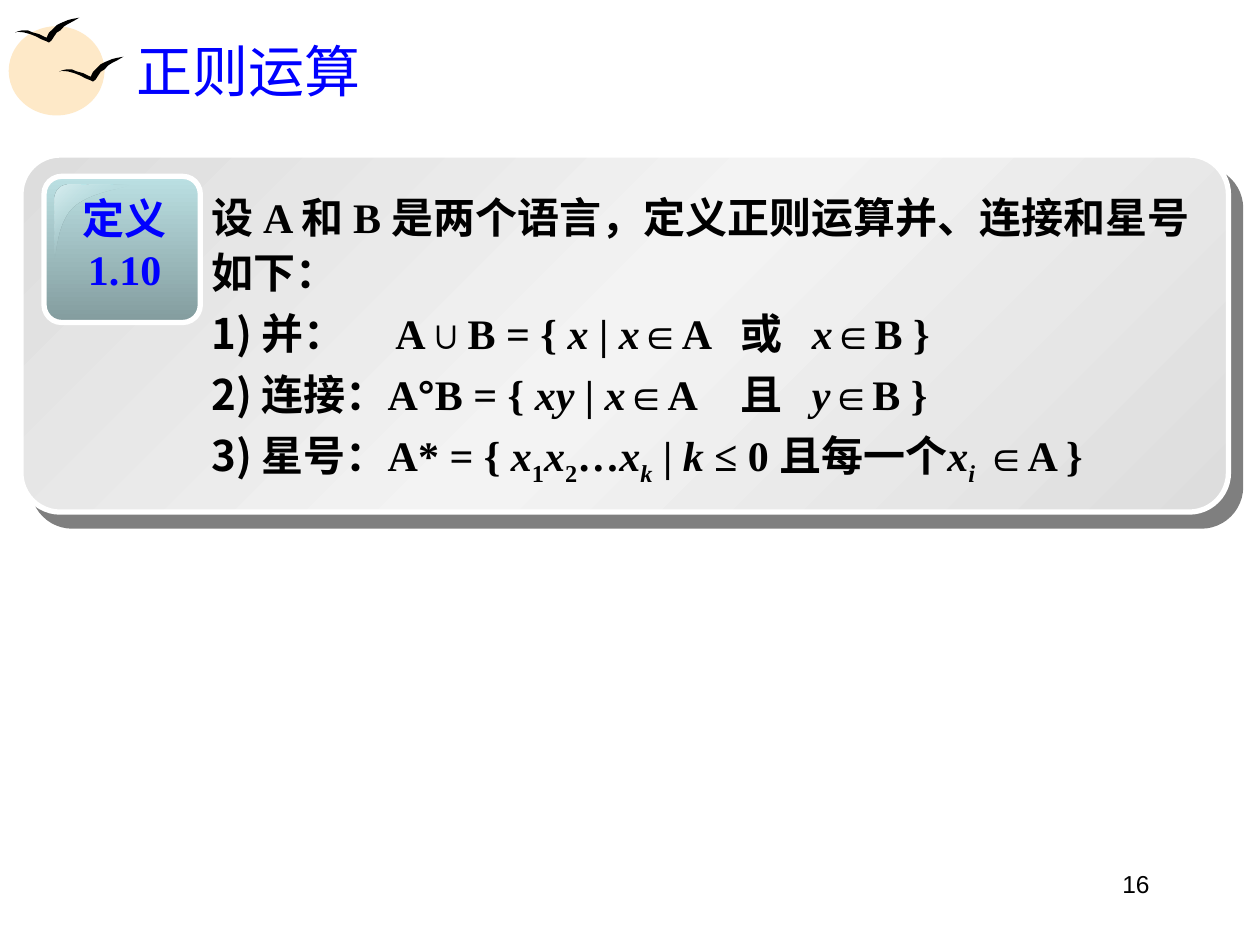
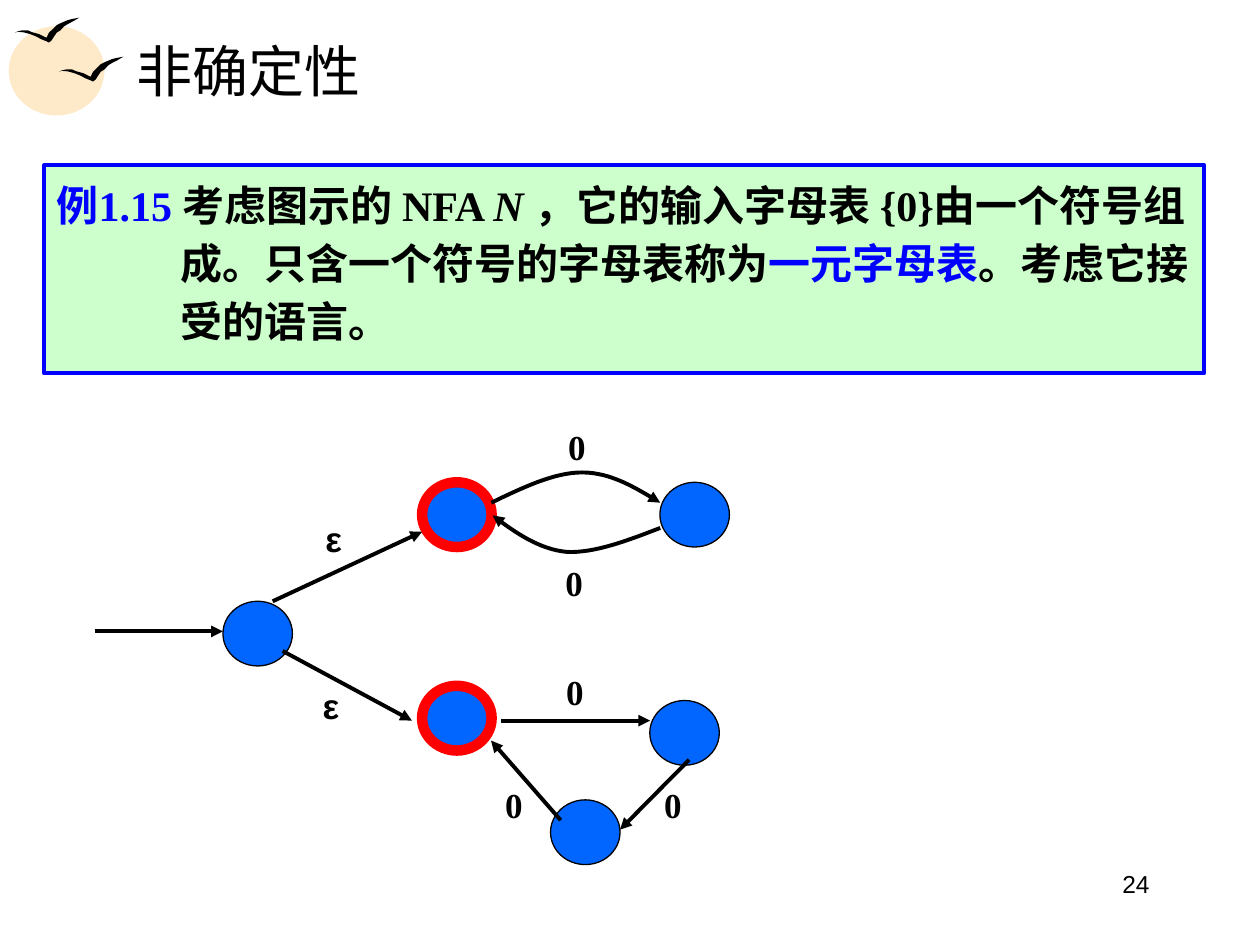
"""Build two lecture slides on regular operations and nondeterministic automata."""
from lxml import etree
from pptx import Presentation
from pptx import util as u
from pptx.dml.color import RGBColor
from pptx.enum import shapes, text
from pptx.oxml import ns

Pt = u.Pt
BLUE = RGBColor(0x00, 0x00, 0xFF)
BLACK = RGBColor(0x00, 0x00, 0x00)
WHITE = RGBColor(0xFF, 0xFF, 0xFF)
RED = RGBColor(0xFF, 0x00, 0x00)
SUN = RGBColor(0xFE, 0xE9, 0xC8)
MINT = RGBColor(0xCC, 0xFF, 0xCC)
STATE_BLUE = RGBColor(0x00, 0x66, 0xFF)
GREY = RGBColor(0xDD, 0xDD, 0xDD)
LIGHT_GREY = RGBColor(0xF3, 0xF3, 0xF3)
TEAL = RGBColor(0xBB, 0xE0, 0xE3)
DARK_TEAL = RGBColor(0x83, 0x9C, 0x9E)
PALE_TEAL = RGBColor(0xDA, 0xEE, 0xF0)
SERIF, SANS = "Times New Roman", "Arial"

ITALIC = {"italic": True}
SUBSCRIPT = {"baseline": -25000}
ITALIC_SUBSCRIPT = {**ITALIC, **SUBSCRIPT}

BIRD = [
    (0, 8.6), (1.4, 7.9), (4.3, 7.2), (7.2, 7.2), (10, 8.4), (13.7, 9.4), (18, 11.5),
    (19.4, 8.6), (21.6, 6.5), (23.8, 4.3), (26.6, 2.9), (30.2, 1.4), (33, 0.7), (36.7, 0),
    (33, 2.2), (30.2, 3.6), (28, 5), (26, 7.2), (23.8, 8.6), (22.3, 10.8), (20.9, 13),
    (19.4, 14.2), (18, 13.5), (15.1, 12.4), (12.2, 10.8), (8.6, 9.4), (5, 8.4), (1.4, 8.1),
]


def write(paragraph, runs, size=24, color=BLACK, font=SERIF, bold=True):
    """Add (text, options) runs to a paragraph."""
    for words, options in runs:
        run = paragraph.add_run()
        run.text = words
        run.font.size = Pt(size)
        run.font.bold = bold
        run.font.italic = options.get("italic", False)
        run.font.name = options.get("font", font)
        run.font.color.rgb = options.get("color", color)
        if "baseline" in options:
            run._r.get_or_add_rPr().set("baseline", str(options["baseline"]))


def draw_curve(slide, points, closed):
    """Draw a chain of cubic curves through every third point."""
    builder = slide.shapes.build_freeform(Pt(points[0][0]), Pt(points[0][1]))
    for first in range(0, len(points) - 1, 3):
        segment = points[first:first + 4]
        samples = []
        for step in range(1, 17):
            t = step / 16
            weights = ((1 - t) ** 3, 3 * t * (1 - t) ** 2, 3 * t * t * (1 - t), t ** 3)
            samples.append([Pt(sum(w * point[axis] for w, point in zip(weights, segment)))
                            for axis in (0, 1)])
        builder.add_line_segments(samples, close=closed and first + 4 == len(points))
    return builder.convert_to_shape()


presentation = Presentation()
presentation.slide_width, presentation.slide_height = Pt(720), Pt(540)

for title, title_color, number in (("正则运算", BLUE, "16"), ("非确定性", BLACK, "24")):
    slide = presentation.slides.add_slide(presentation.slide_layouts[6])
    for box in ((5, 15, 54.7, 51), (14.4, 20.2, 45.3, 39.6)):
        sun = slide.shapes.add_shape(shapes.MSO_SHAPE.OVAL, *map(Pt, box))
        sun.fill.solid()
        sun.fill.fore_color.rgb = SUN
        sun.line.fill.background()
    for left, top in ((33.8, 32.4), (8.6, 10.1)):
        outline = [(Pt(left + x), Pt(top + y)) for x, y in BIRD]
        builder = slide.shapes.build_freeform(*outline[0])
        builder.add_line_segments(outline[1:])
        bird = builder.convert_to_shape()
        bird.fill.solid()
        bird.fill.fore_color.rgb = BLACK
        bird.line.fill.background()
    number_box = slide.shapes.add_textbox(Pt(496), Pt(493.2), Pt(168), Pt(37.4))
    number_box.text_frame.word_wrap = True
    number_box.text_frame.paragraphs[0].alignment = text.PP_ALIGN.RIGHT
    write(number_box.text_frame.paragraphs[0], [(number, {})], 14, font=SANS, bold=False)
    title_box = slide.shapes.add_textbox(Pt(70.9), Pt(15.1), Pt(614), Pt(49.7))
    title_box.text_frame.word_wrap = True
    title_box.text_frame.vertical_anchor = text.MSO_ANCHOR.MIDDLE
    write(title_box.text_frame.paragraphs[0], [(title, {})], 32, title_color, bold=False)

operations, nondeterminism = presentation.slides

card = operations.shapes.add_shape(
    shapes.MSO_SHAPE.ROUNDED_RECTANGLE, Pt(12), Pt(88.6), Pt(690), Pt(204))
card.adjustments[0] = 0.11
badge = operations.shapes.add_shape(
    shapes.MSO_SHAPE.ROUNDED_RECTANGLE, Pt(25.2), Pt(100.8), Pt(89.3), Pt(83.5))
badge.adjustments[0] = 0.12
for panel in (card, badge):
    panel.line.color.rgb = WHITE
    panel.line.width = Pt(3)
gloss = draw_curve(operations, [
    (39.6, 105.8), (34.6, 105.8), (31, 109.4), (31, 114.5),
    (31, 125), (31, 137), (31, 147.6),
    (32.4, 147.6), (31.7, 127.4), (42.5, 118.1),
    (54, 108.7), (74.9, 108), (74.2, 105.8)], closed=True)
gloss.line.fill.background()

for shape, angle, stops in (
        (card, 45, ((0, GREY, 100), (50, LIGHT_GREY, 100), (100, GREY, 100))),
        (badge, 90, ((0, TEAL, 100), (100, DARK_TEAL, 100))),
        (gloss, 45, ((0, PALE_TEAL, 100), (50, TEAL, 0), (100, PALE_TEAL, 100)))):
    shape.fill.gradient()
    properties = shape.element.spPr
    properties.find(".//" + ns.qn("a:lin")).set("ang", str(angle * 60000))
    stop_list = properties.find(".//" + ns.qn("a:gsLst"))
    for stop in list(stop_list):
        stop_list.remove(stop)
    for position, color, opacity in stops:
        stop = etree.SubElement(stop_list, ns.qn("a:gs"), pos=str(position * 1000))
        tint = etree.SubElement(stop, ns.qn("a:srgbClr"), val=str(color))
        etree.SubElement(tint, ns.qn("a:alpha"), val=str(opacity * 1000))

effects = etree.SubElement(card.element.spPr, ns.qn("a:effectLst"))
shadow = etree.SubElement(effects, ns.qn("a:outerShdw"), dist=str(Pt(10.6)),
                          dir=str(49 * 60000), algn="ctr", rotWithShape="0")
shadow_color = etree.SubElement(shadow, ns.qn("a:srgbClr"), val=str(BLACK))
etree.SubElement(shadow_color, ns.qn("a:alpha"), val="50000")

badge_label = operations.shapes.add_textbox(Pt(37.4), Pt(106.6), Pt(67.7), Pt(64.8))
badge_label.text_frame.word_wrap = True
for index, words in enumerate(("定义", "1.10")):
    frame = badge_label.text_frame
    paragraph = frame.add_paragraph() if index else frame.paragraphs[0]
    paragraph.alignment = text.PP_ALIGN.CENTER
    write(paragraph, [(words, {})], color=BLUE)

definition = operations.shapes.add_textbox(Pt(113.8), Pt(103), Pt(576), Pt(179.3))
frame = definition.text_frame
frame.word_wrap = True
frame.paragraphs[0].line_spacing = 1.1
write(frame.paragraphs[0], [("设 A 和 B 是两个语言，定义正则运算并、连接和星号如下：", {})])
operation_lines = (
    [(" 并：\tA∪B = { ", {}), ("x", ITALIC), (" | ", {}), ("x", ITALIC),
     ("∈A\t或\t", {}), ("x", ITALIC), ("∈B }", {})],
    [(" 连接：A", {}), ("°", {"font": SANS}), ("B = { ", {}), ("xy", ITALIC), (" | ", {}),
     ("x", ITALIC), ("∈A\t且\t", {}), ("y", ITALIC), ("∈B }", {})],
    [(" 星号：A* = { ", {}), ("x", ITALIC), ("1", SUBSCRIPT), ("x", ITALIC),
     ("2", SUBSCRIPT), ("…", {}), ("x", ITALIC), ("k", ITALIC_SUBSCRIPT), (" | ", {}),
     ("k", ITALIC), (" ≤ 0 且每一个", {}), ("x", ITALIC), ("i", ITALIC_SUBSCRIPT),
     (" ∈A }", {})],
)
for runs in operation_lines:
    paragraph = frame.add_paragraph()
    paragraph.line_spacing = 1.1
    paragraph.space_before = Pt(3)
    properties = paragraph._p.get_or_add_pPr()
    bullet_color = etree.SubElement(properties, ns.qn("a:buClr"))
    etree.SubElement(bullet_color, ns.qn("a:srgbClr"), val=str(BLACK))
    etree.SubElement(properties, ns.qn("a:buAutoNum"), type="arabicParenR")
    tabs = etree.SubElement(properties, ns.qn("a:tabLst"))
    for position in (105, 302, 343):
        etree.SubElement(tabs, ns.qn("a:tab"), pos=str(Pt(position)), algn="l")
    write(paragraph, runs)

example = nondeterminism.shapes.add_shape(
    shapes.MSO_SHAPE.RECTANGLE, Pt(25.2), Pt(94.5), Pt(663), Pt(118.8))
example.fill.solid()
example.fill.fore_color.rgb = MINT
example.line.color.rgb = BLUE
example.line.width = Pt(2.25)
example.text_frame.word_wrap = True
example.text_frame.vertical_anchor = text.MSO_ANCHOR.TOP
paragraph = example.text_frame.paragraphs[0]
paragraph.alignment = text.PP_ALIGN.LEFT
paragraph.line_spacing = 1.15
properties = paragraph._p.get_or_add_pPr()
properties.set("marL", str(Pt(70.9)))
properties.set("indent", str(Pt(-70.9)))
write(paragraph, [
    ("例1.15 ", {"color": BLUE}), ("考虑图示的 NFA ", {}), ("N ", ITALIC),
    ("，它的输入字母表 {0}由一个符号组成。只含一个符号的字母表称为", {}),
    ("一元字母表", {"color": BLUE}), ("。考虑它接受的语言。", {})])

for left, top, accepting in (
        (127.4, 343.6, False), (241.2, 275.6, True), (241.2, 391.9, True),
        (377.1, 275.6, False), (371.3, 400.3, False), (314.6, 457.1, False)):
    state = nondeterminism.shapes.add_shape(
        shapes.MSO_SHAPE.OVAL, Pt(left), Pt(top), Pt(39.7), Pt(37))
    state.fill.solid()
    state.fill.fore_color.rgb = STATE_BLUE
    state.line.color.rgb = RED if accepting else BLACK
    state.line.width = Pt(6 if accepting else 0.75)

arrows = [
    nondeterminism.shapes.add_connector(shapes.MSO_CONNECTOR.STRAIGHT, *map(Pt, ends))
    for ends in (
        (54, 360.8, 127.4, 360.8), (155.8, 343.6, 241.2, 303.9), (161.5, 372, 235.4, 411.8),
        (286.3, 411.8, 371.5, 411.8), (393.8, 434.2, 354.3, 474.1),
        (320.4, 468.7, 280.6, 423.2))]
for points in (
        [(280.8, 287.3), (298.8, 278.6), (316.8, 270), (332.6, 270),
         (349.2, 270), (362.9, 278.6), (377.3, 287.3)],
        [(377.3, 301.7), (358.6, 308.9), (339.8, 316.1), (324, 315.4),
         (308.2, 313.9), (294.5, 304.5), (281.5, 294.5)]):
    arc = draw_curve(nondeterminism, points, closed=False)
    arc.fill.background()
    arrows.append(arc)
for arrow in arrows:
    arrow.line.color.rgb = BLACK
    arrow.line.width = Pt(2.25)
    etree.SubElement(arrow.line._get_or_add_ln(), ns.qn("a:tailEnd"), type="triangle")

for symbol, left, top in (
        ("ε", 178.6, 292.3), ("ε", 177.1, 387.4), ("0", 317.5, 239.8), ("0", 316, 317.5),
        ("0", 316.4, 379.4), ("0", 281.5, 444.2), ("0", 372.4, 444.2)):
    label = nondeterminism.shapes.add_textbox(Pt(left), Pt(top), Pt(24), Pt(31.7))
    label.text_frame.word_wrap = False
    label.text_frame.paragraphs[0].alignment = text.PP_ALIGN.CENTER
    write(label.text_frame.paragraphs[0], [(symbol, {})], 20,
          font=SANS if symbol == "ε" else SERIF)

for slide in presentation.slides:
    for shape in slide.shapes:
        properties = shape.element.spPr
        if properties.find(ns.qn("a:effectLst")) is None:
            etree.SubElement(properties, ns.qn("a:effectLst"))

presentation.save("out.pptx")
